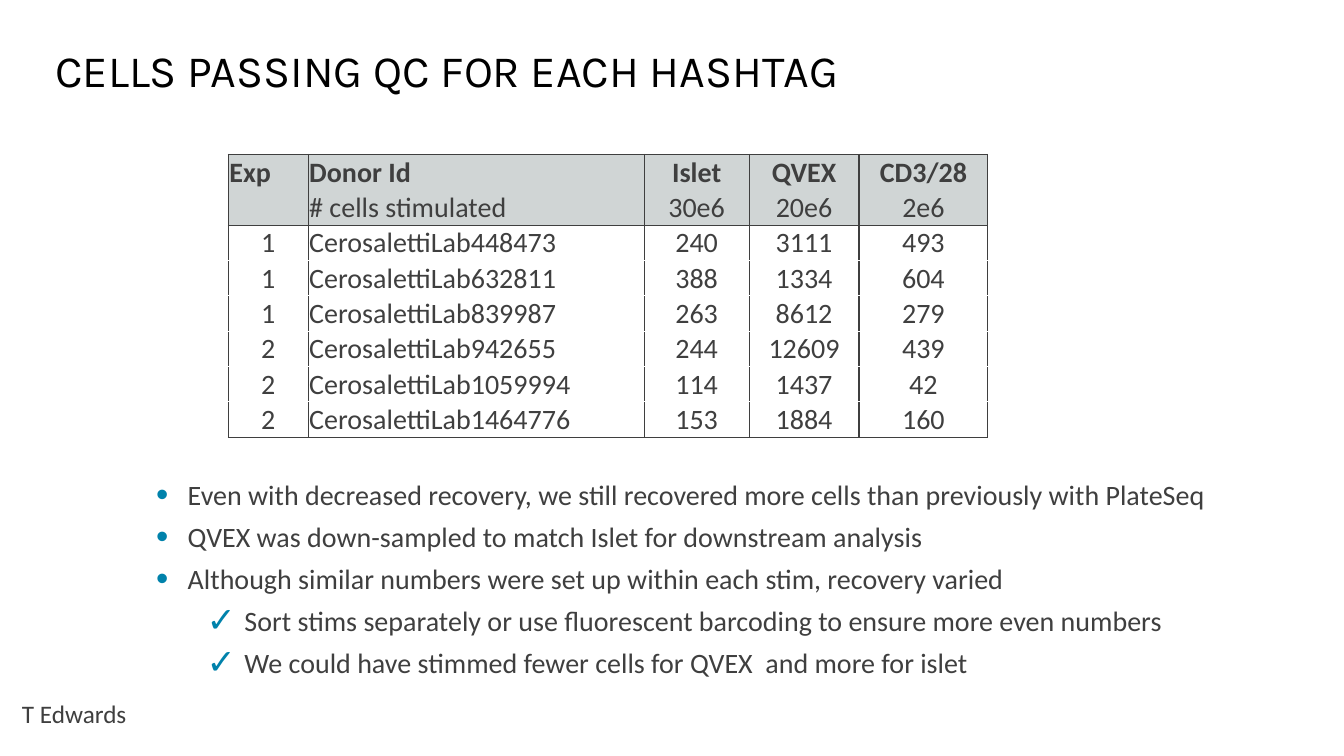
from lxml import etree
from pptx import Presentation
from pptx.dml.color import RGBColor
from pptx.enum.text import MSO_ANCHOR, MSO_AUTO_SIZE, PP_ALIGN
from pptx.oxml.ns import qn
from pptx.util import Pt

LEFT, MID = PP_ALIGN.LEFT, PP_ALIGN.CENTER
LOW, CENTER = MSO_ANCHOR.BOTTOM, MSO_ANCHOR.MIDDLE
GROW, FIXED = MSO_AUTO_SIZE.SHAPE_TO_FIT_TEXT, MSO_AUTO_SIZE.NONE
DARK, GRAY, WHITE, BLUE = "3F3F3F", "D0D5D5", "FFFFFF", "0082AB"


def tint(code):
    return RGBColor.from_string(code)


def put(para, text, size=20, face="Calibri", color=DARK, bold=False, align=LEFT,
        line=1.0, after=0):
    para.alignment = align
    para.line_spacing = line
    para.space_before = Pt(0)
    para.space_after = Pt(after)
    run = para.add_run()
    run.text = text
    font = run.font
    font.size, font.name, font.bold = Pt(size), face, bold
    font.color.rgb = tint(color)


deck = Presentation()
deck.slide_width, deck.slide_height = Pt(960), Pt(540)
slide = deck.slides.add_slide(deck.slide_layouts[1])

title = slide.shapes.title
title.left, title.top, title.width, title.height = Pt(32.4), Pt(28.8), Pt(895), Pt(46.8)
title.text_frame.auto_size = FIXED
title.text_frame.vertical_anchor = CENTER
put(title.text_frame.paragraphs[0], "CELLS PASSING QC FOR EACH HASHTAG",
    size=32, face="Karla", color="000000", line=0.9)

rows = [
    ("Exp", "Donor Id", "Islet", "QVEX", "CD3/28"),
    ("", "# cells stimulated", "30e6", "20e6", "2e6"),
    ("1", "CerosalettiLab448473", "240", "3111", "493"),
    ("1", "CerosalettiLab632811", "388", "1334", "604"),
    ("1", "CerosalettiLab839987", "263", "8612", "279"),
    ("2", "CerosalettiLab942655", "244", "12609", "439"),
    ("2", "CerosalettiLab1059994", "114", "1437", "42"),
    ("2", "CerosalettiLab1464776", "153", "1884", "160"),
]
wide = [57, 240, 75, 78.5, 92]
tall = 25.25
edges = [DARK, None, DARK] + [WHITE] * 5 + [DARK]

frame = slide.shapes.add_table(len(rows), len(wide), Pt(163.2), Pt(110.4),
                               Pt(sum(wide)), Pt(tall * len(rows)))
table = frame.table
table.first_row = table.horz_banding = False
for col, width in zip(table.columns, wide):
    col.width = Pt(width)

for r, row in enumerate(rows):
    table.rows[r].height = Pt(tall)
    for c, text in enumerate(row):
        cell = table.cell(r, c)
        cell.vertical_anchor = LOW
        cell.margin_left = cell.margin_right = cell.margin_top = Pt(0.72)
        cell.margin_bottom = Pt(0)
        props = cell._tc.get_or_add_tcPr()
        for side, color in zip("LRTB", (DARK, DARK, edges[r], edges[r + 1])):
            line = etree.SubElement(props, qn(f"a:ln{side}"), w=str(Pt(1)))
            if color:
                fill = etree.SubElement(line, qn("a:solidFill"))
                etree.SubElement(fill, qn("a:srgbClr"), val=color)
            else:
                etree.SubElement(line, qn("a:noFill"))
        cell.fill.solid()
        cell.fill.fore_color.rgb = tint(GRAY if r < 2 else WHITE)
        if text:
            flush = c == 1 or (r == 0 and c == 0)
            put(cell.text_frame.paragraphs[0], text, bold=r == 0,
                align=LEFT if flush else MID)

notes = [
    (0, "Even with decreased recovery, we still recovered more cells than previously with PlateSeq"),
    (0, "QVEX was down-sampled to match Islet for downstream analysis"),
    (0, "Although similar numbers were set up within each stim, recovery varied"),
    (1, "Sort stims separately or use fluorescent barcoding to ensure more even numbers"),
    (1, "We could have stimmed fewer cells for QVEX  and more for islet"),
]
marks = [("•", 22.5, 22.5), ("✓", 63, 27)]

body = slide.placeholders[1]
body.left, body.top, body.width, body.height = Pt(104.4), Pt(337.7), Pt(771), Pt(152.6)
box = body.text_frame
box.word_wrap = True
box.auto_size = GROW
for i, (level, text) in enumerate(notes):
    para = box.add_paragraph() if i else box.paragraphs[0]
    para.level = level
    mark, left, hang = marks[level]
    props = para._p.get_or_add_pPr()
    props.set("marL", str(Pt(left)))
    props.set("indent", str(-Pt(hang)))
    tone = etree.SubElement(props, qn("a:buClr"))
    etree.SubElement(tone, qn("a:srgbClr"), val=BLUE)
    etree.SubElement(props, qn("a:buSzPct"), val="125000")
    etree.SubElement(props, qn("a:buFont"), typeface="Arial")
    etree.SubElement(props, qn("a:buChar"), char=mark)
    put(para, text, after=6)

name = slide.shapes.add_textbox(Pt(8.6), Pt(495.4), Pt(412), Pt(28.8))
name.text_frame.word_wrap = True
name.text_frame.auto_size = GROW
put(name.text_frame.paragraphs[0], "T Edwards", size=18)

deck.save("out.pptx")
